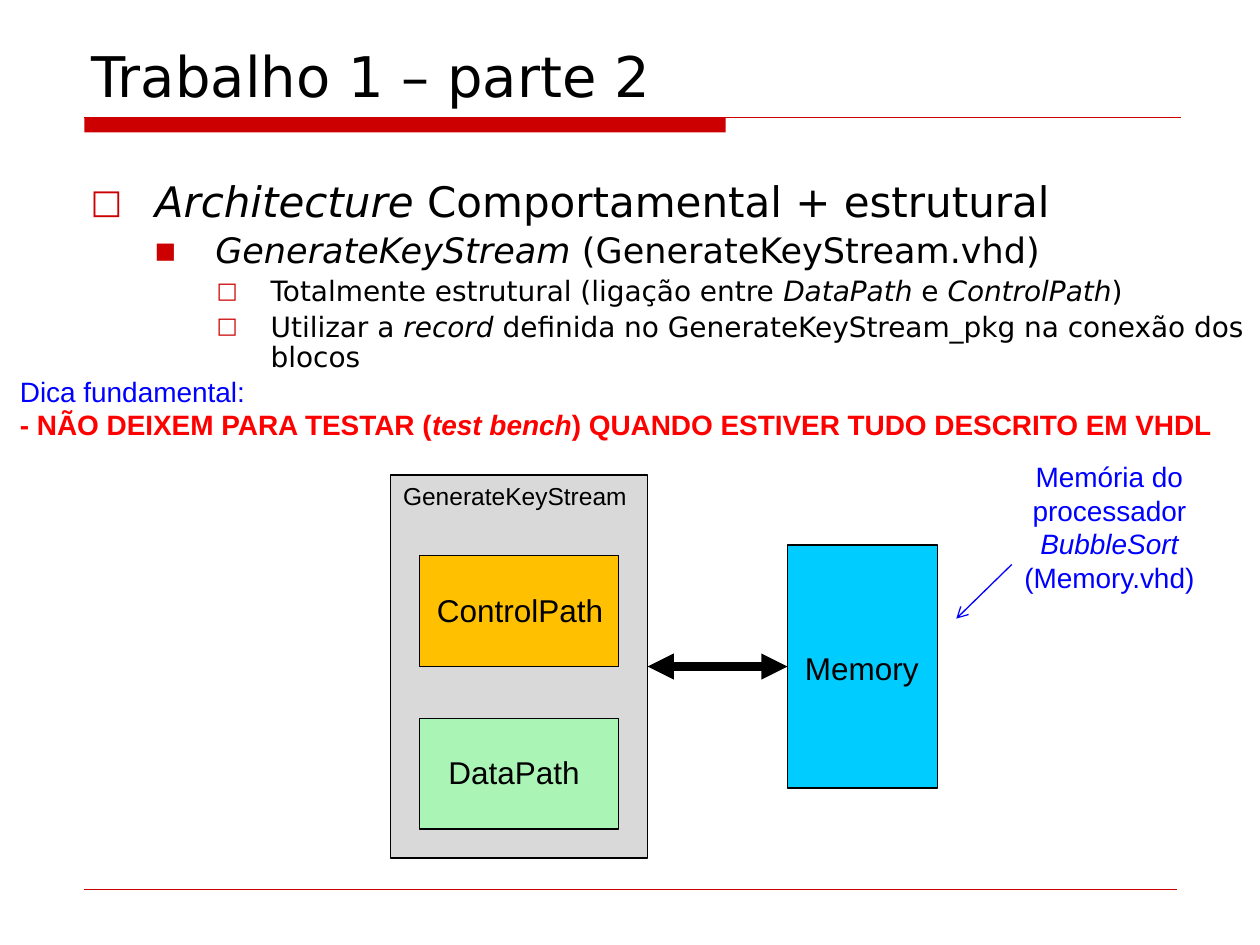
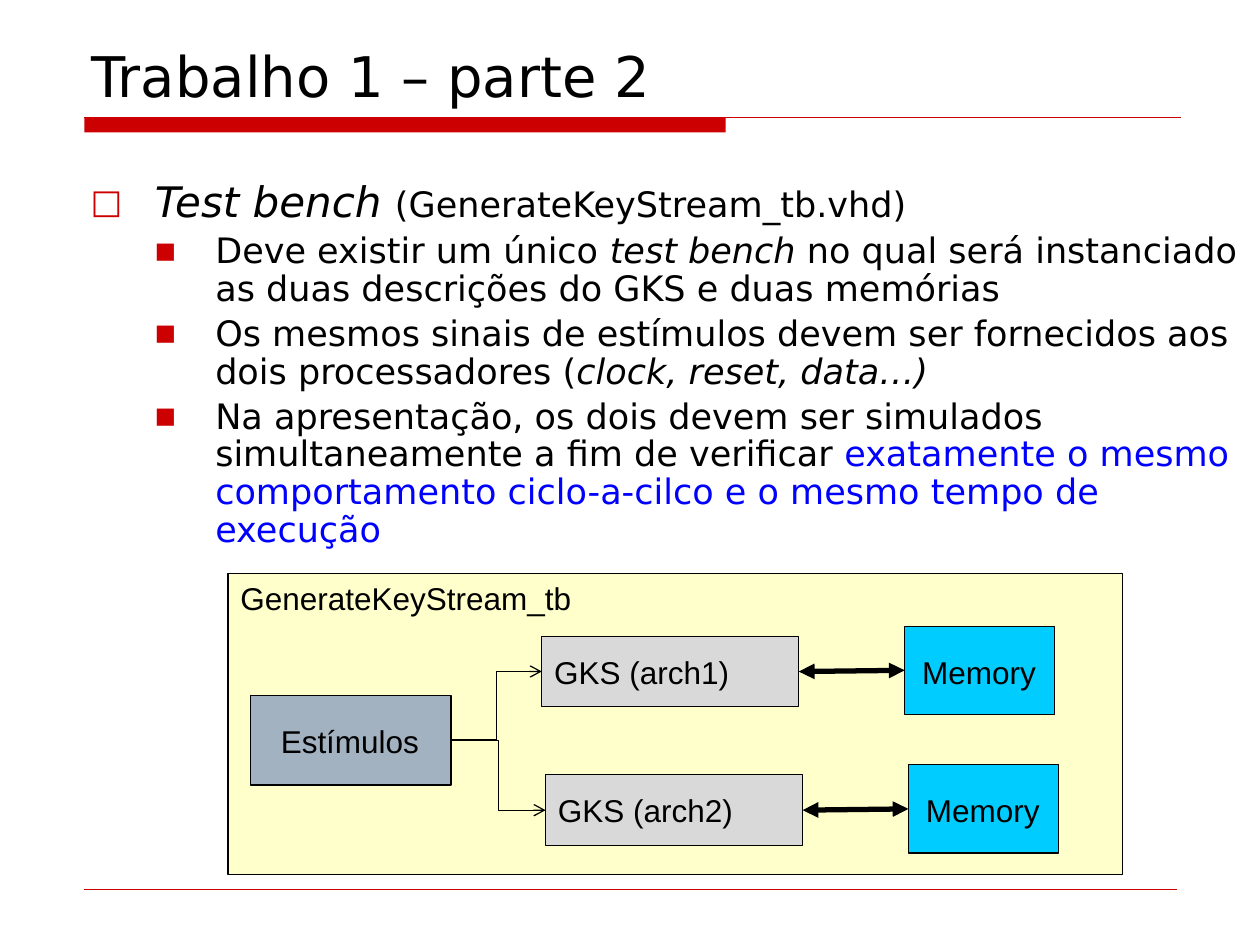
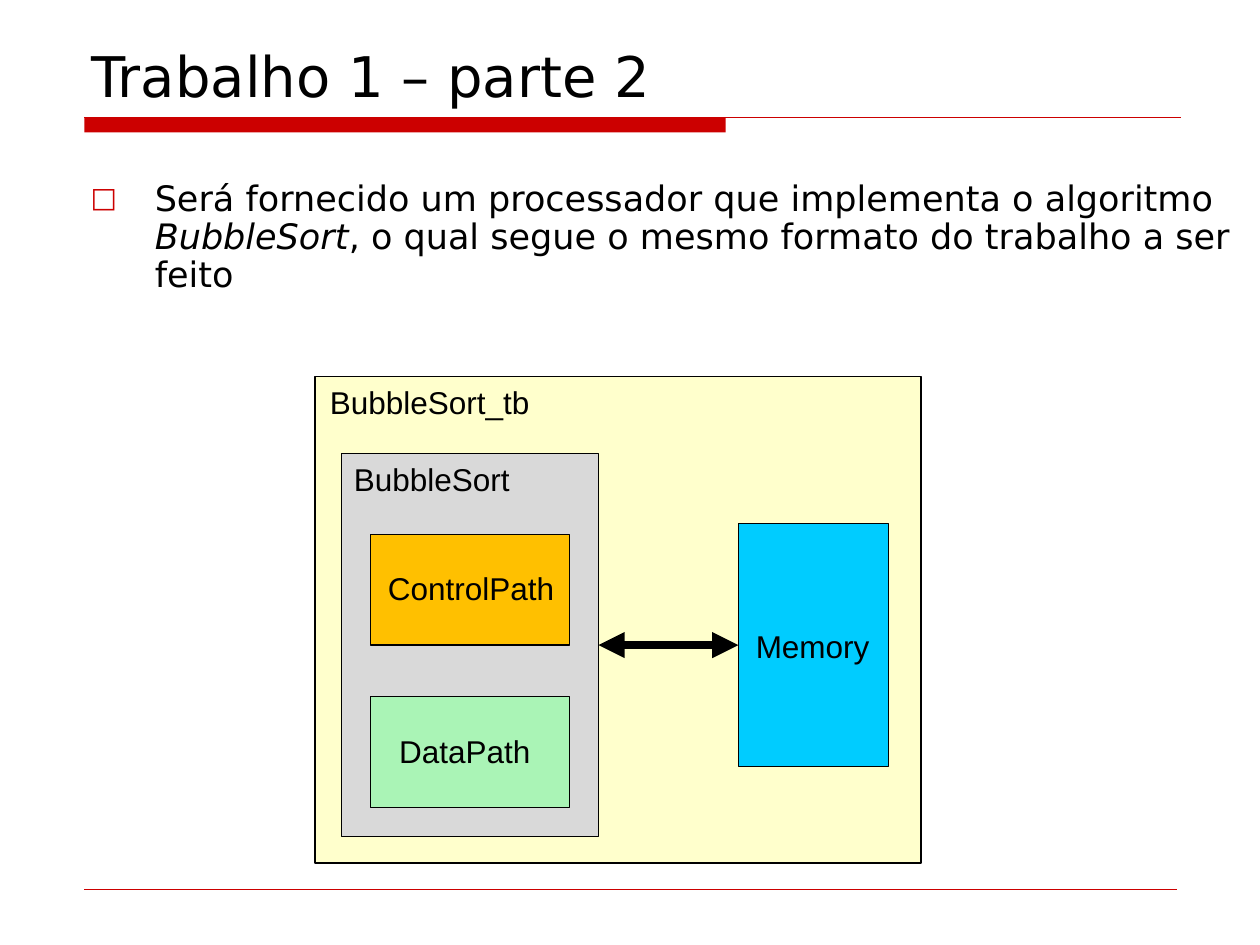
from dataclasses import dataclass

from lxml.etree import SubElement
from pptx import Presentation
from pptx.dml.color import RGBColor
from pptx.enum.shapes import MSO_CONNECTOR as CONNECTOR, MSO_SHAPE as SHAPE
from pptx.enum.text import MSO_ANCHOR as ANCHOR, MSO_AUTO_SIZE as AUTO_SIZE, PP_ALIGN as ALIGN
from pptx.oxml.ns import qn
from pptx.util import Inches, Pt

BLACK = RGBColor(0x00, 0x00, 0x00)
BLUE = RGBColor(0x00, 0x00, 0xFF)
RED = RGBColor(0xFF, 0x00, 0x00)
ACCENT = RGBColor(0xCC, 0x00, 0x00)
GRAY = RGBColor(0xD9, 0xD9, 0xD9)
SLATE = RGBColor(0xA3, 0xB2, 0xC1)
ORANGE = RGBColor(0xFF, 0xC0, 0x00)
GREEN = RGBColor(0xAA, 0xF4, 0xB6)
CYAN = RGBColor(0x00, 0xCC, 0xFF)
CREAM = RGBColor(0xFF, 0xFF, 0xCC)

TEXT_FONT = "DejaVu Sans"
DIAGRAM_FONT = "Arial"
TITLE = "Trabalho 1 – parte 2"
BULLETS = [("□", 80, 0.51, -0.51), ("■", 64, 0.99, -0.48), ("□", 80, 1.43, -0.43)]


@dataclass
class Run:
    """A piece of text with one format."""

    text: str
    size: int = 20
    italic: bool = False
    bold: bool = False
    color: RGBColor = BLACK


def add_runs(paragraph, runs, font_name):
    """Append formatted runs to a paragraph."""
    for item in runs:
        run = paragraph.add_run()
        run.text = item.text
        font = run.font
        font.name, font.size = font_name, Pt(item.size)
        font.italic, font.bold = item.italic, item.bold
        font.color.rgb = item.color


def add_text(slide, left, top, width, height, paragraphs, wrap=False, align=ALIGN.LEFT):
    """Add a diagram text box with one list of runs for each paragraph."""
    box = slide.shapes.add_textbox(Inches(left), Inches(top), Inches(width), Inches(height))
    frame = box.text_frame
    frame.word_wrap = wrap
    frame.auto_size = AUTO_SIZE.SHAPE_TO_FIT_TEXT
    for index, runs in enumerate(paragraphs):
        paragraph = frame.add_paragraph() if index else frame.paragraphs[0]
        paragraph.alignment = align
        add_runs(paragraph, runs, DIAGRAM_FONT)


def add_label(slide, left, top, width, text, size=18):
    """Add a one-line diagram label."""
    add_text(slide, left, top, width, 0.4 if size == 18 else 0.34, [[Run(text, size)]])


def add_box(slide, left, top, width, height, fill, line=BLACK):
    """Add a flat rectangle, outlined unless line is None."""
    shape = slide.shapes.add_shape(
        SHAPE.RECTANGLE, Inches(left), Inches(top), Inches(width), Inches(height))
    shape.shadow.inherit = False
    shape.fill.solid()
    shape.fill.fore_color.rgb = fill
    if line is None:
        shape.line.fill.background()
    else:
        shape.line.color.rgb = line
        shape.line.width = Pt(0.75)
    return shape


def add_line(slide, start, end, color=BLACK, width=0.75, head=None, tail=None,
             kind=CONNECTOR.STRAIGHT):
    """Add a connector between two points, with optional arrowheads."""
    connector = slide.shapes.add_connector(kind, *(Inches(value) for value in start + end))
    connector.line.color.rgb = color
    connector.line.width = Pt(width)
    properties = connector.line._get_or_add_ln()
    for tag, arrow in (("a:headEnd", head), ("a:tailEnd", tail)):
        if arrow:
            SubElement(properties, qn(tag), type=arrow)
    SubElement(connector._element.spPr, qn("a:effectLst"))
    return connector


def join(slide, source, target, **style):
    """Link the right side of one box to the left side of another."""
    connector = add_line(slide, (0, 0), (1, 1), **style)
    connector.begin_connect(source, 3)
    connector.end_connect(target, 1)


def add_bullet(paragraph, level):
    """Give a paragraph the bullet and indents of its level."""
    character, percent, margin, indent = BULLETS[level]
    properties = paragraph._p.get_or_add_pPr()
    properties.set("marL", str(Inches(margin)))
    properties.set("indent", str(Inches(indent)))
    color = SubElement(properties, qn("a:buClr"))
    SubElement(color, qn("a:srgbClr"), val=str(ACCENT))
    SubElement(properties, qn("a:buSzPct"), val=str(percent * 1000))
    SubElement(properties, qn("a:buFont"), typeface=TEXT_FONT)
    SubElement(properties, qn("a:buChar"), char=character)


def add_body(slide, height, items):
    """Add the bulleted text from (level, runs) pairs."""
    box = slide.shapes.add_textbox(Inches(0.62), Inches(1.39), Inches(9.38), Inches(height))
    frame = box.text_frame
    frame.word_wrap = True
    for index, (level, runs) in enumerate(items):
        paragraph = frame.add_paragraph() if index else frame.paragraphs[0]
        paragraph.line_spacing = 0.9
        paragraph.space_before = Pt(0.2 * runs[0].size)
        add_bullet(paragraph, level)
        add_runs(paragraph, runs, TEXT_FONT)


def add_titled_slide(presentation):
    """Add a slide with the shared title, band and footer line."""
    slide = presentation.slides.add_slide(presentation.slide_layouts[5])
    add_box(slide, 0.67, 0.93, 5.09, 0.12, ACCENT, line=None)
    add_line(slide, (0.67, 0.93), (9.37, 0.93), ACCENT)
    add_line(slide, (0.67, 7.06), (9.34, 7.06), ACCENT, 0.25)
    title = slide.shapes.title
    title.left, title.top = Inches(0.63), Inches(0.33)
    title.width, title.height = Inches(8.75), Inches(0.58)
    frame = title.text_frame
    frame.auto_size = AUTO_SIZE.NONE
    frame.vertical_anchor = ANCHOR.BOTTOM
    frame.paragraphs[0].alignment = ALIGN.LEFT
    add_runs(frame.paragraphs[0], [Run(TITLE, 32)], TEXT_FONT)
    return slide


def add_memory(slide, left, top, height):
    """Add a memory block with its centred label."""
    memory = add_box(slide, left, top, 1.19, height, CYAN)
    add_label(slide, left + 0.04, top + height / 2 - 0.19, 1.11, "Memory")
    return memory


def add_processor(slide, left, top, name, name_width, name_size):
    """Add a processor with its two paths, linked to a memory."""
    processor = add_box(slide, left, top, 2.04, 3.04, GRAY)
    add_label(slide, left, top, name_width, name, name_size)
    paths = [("ControlPath", ORANGE, 0.04, 1.53), ("DataPath", GREEN, 0.13, 1.25)]
    for index, (text, fill, inset, width) in enumerate(paths):
        path_left, path_top = left + 0.23, top + 0.64 + 1.29 * index
        add_box(slide, path_left, path_top, 1.58, 0.88, fill)
        add_label(slide, path_left + inset, path_top + 0.23, width, text)
    memory = add_memory(slide, left + 3.15, top + 0.555, 1.93)
    join(slide, processor, memory, width=5, head="triangle", tail="triangle")


def add_test_bench(slide, left, top):
    """Add the test bench: stimuli feeding two processors with memories."""
    add_box(slide, left, top, 7.1, 2.39, CREAM)
    add_label(slide, left, top, 2.85, "GenerateKeyStream_tb")
    stimuli = add_box(slide, left + 0.18, top + 0.97, 1.59, 0.71, SLATE)
    add_label(slide, left + 0.32, top + 1.13, 1.31, "Estímulos")
    for index in range(2):
        row_left, row_top = left + 2.49 + 0.03 * index, top + 0.5 + 1.1 * index
        processor = add_box(slide, row_left, row_top, 2.04, 0.56, GRAY)
        add_label(slide, row_left, row_top + 0.08, 1.6, f"GKS (arch{index + 1})")
        memory = add_memory(slide, row_left + 2.88, row_top - 0.08, 0.7)
        join(slide, processor, memory, width=3, head="triangle", tail="triangle")
        join(slide, stimuli, processor, tail="arrow", kind=CONNECTOR.ELBOW)


def build_architecture(presentation):
    """Build the slide on the behavioural and structural architecture."""
    slide = add_titled_slide(presentation)
    add_body(slide, 1.56, [
        (0, [Run("Architecture", 24, True), Run(" Comportamental + estrutural", 24)]),
        (1, [Run("GenerateKeyStream ", italic=True), Run("(GenerateKeyStream.vhd)")]),
        (2, [Run("Totalmente estrutural (ligação entre ", 16), Run("DataPath", 16, True),
             Run(" e ", 16), Run("ControlPath", 16, True), Run(")", 16)]),
        (2, [Run("Utilizar a ", 16), Run("record", 16, True),
             Run(" definida no GenerateKeyStream_pkg na conexão dos blocos", 16)]),
    ])
    add_processor(slide, 3.1, 3.77, "GenerateKeyStream", 1.99, 14)
    add_text(slide, 7.79, 3.6, 2.03, 1.18, [
        [Run("Memória do processador ", 16, color=BLUE), Run("BubbleSort", 16, True, color=BLUE)],
        [Run("(Memory.vhd)", 16, color=BLUE)],
    ], wrap=True, align=ALIGN.CENTER)
    add_line(slide, (8.03, 4.48), (7.59, 4.91), BLUE, tail="arrow")
    add_text(slide, 0.06, 2.92, 9.77, 0.64, [
        [Run("Dica fundamental:", 16, color=BLUE)],
        [Run("- NÃO DEIXEM PARA TESTAR (", 16, False, True, RED),
         Run("test bench", 16, True, True, RED),
         Run(") QUANDO ESTIVER TUDO DESCRITO EM VHDL", 16, False, True, RED)],
    ])


def build_test_bench(presentation):
    """Build the slide on the shared test bench."""
    slide = add_titled_slide(presentation)
    add_body(slide, 2.5, [
        (0, [Run("Test bench ", 24, True), Run("(GenerateKeyStream_tb.vhd)")]),
        (1, [Run("Deve existir um único "), Run("test bench", italic=True),
             Run(" no qual será instanciado as duas descrições do GKS e duas memórias")]),
        (1, [Run("Os mesmos sinais de estímulos devem ser fornecidos aos dois processadores ("),
             Run("clock, reset, data…)", italic=True)]),
        (1, [Run("Na apresentação, os dois devem ser simulados simultaneamente a fim de "
                 "verificar "),
             Run("exatamente o mesmo comportamento ciclo-a-cilco e o mesmo tempo de execução",
                 color=BLUE)]),
    ])
    add_test_bench(slide, 1.81, 4.55)


def build_example(presentation):
    """Build the slide on the example processor."""
    slide = add_titled_slide(presentation)
    add_body(slide, 1.56, [
        (0, [Run("Será fornecido um processador que implementa o algoritmo "),
             Run("BubbleSort", italic=True),
             Run(", o qual segue o mesmo formato do trabalho a ser feito")]),
    ])
    add_box(slide, 2.5, 2.99, 4.81, 3.86, CREAM)
    add_label(slide, 2.52, 2.99, 1.8, "BubbleSort_tb")
    add_processor(slide, 2.71, 3.6, "BubbleSort", 1.45, 18)


def main():
    """Build and save the presentation."""
    presentation = Presentation()
    presentation.slide_width, presentation.slide_height = Inches(10), Inches(7.5)
    for build in (build_architecture, build_test_bench, build_example):
        build(presentation)
    presentation.save("out.pptx")


if __name__ == "__main__":
    main()
